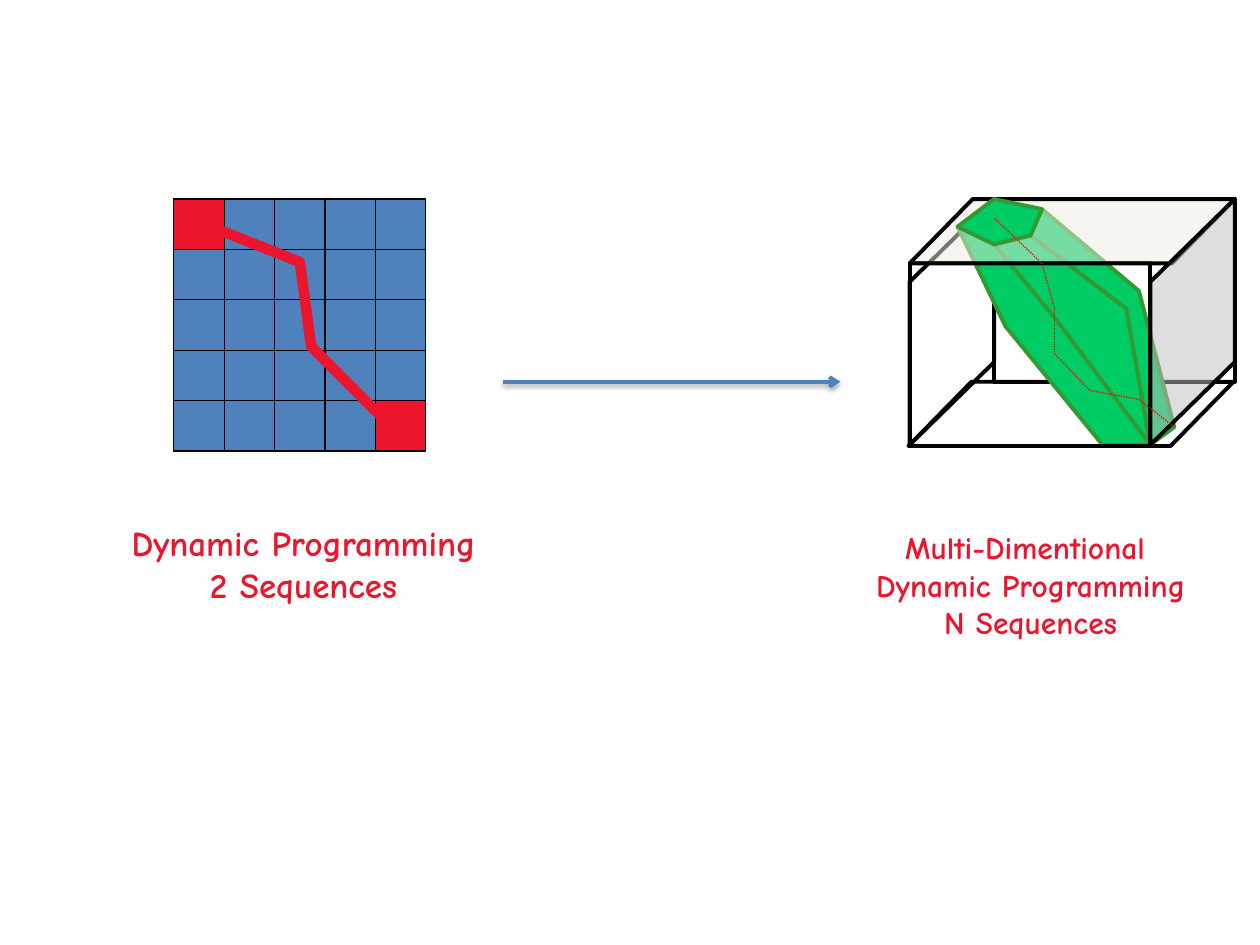
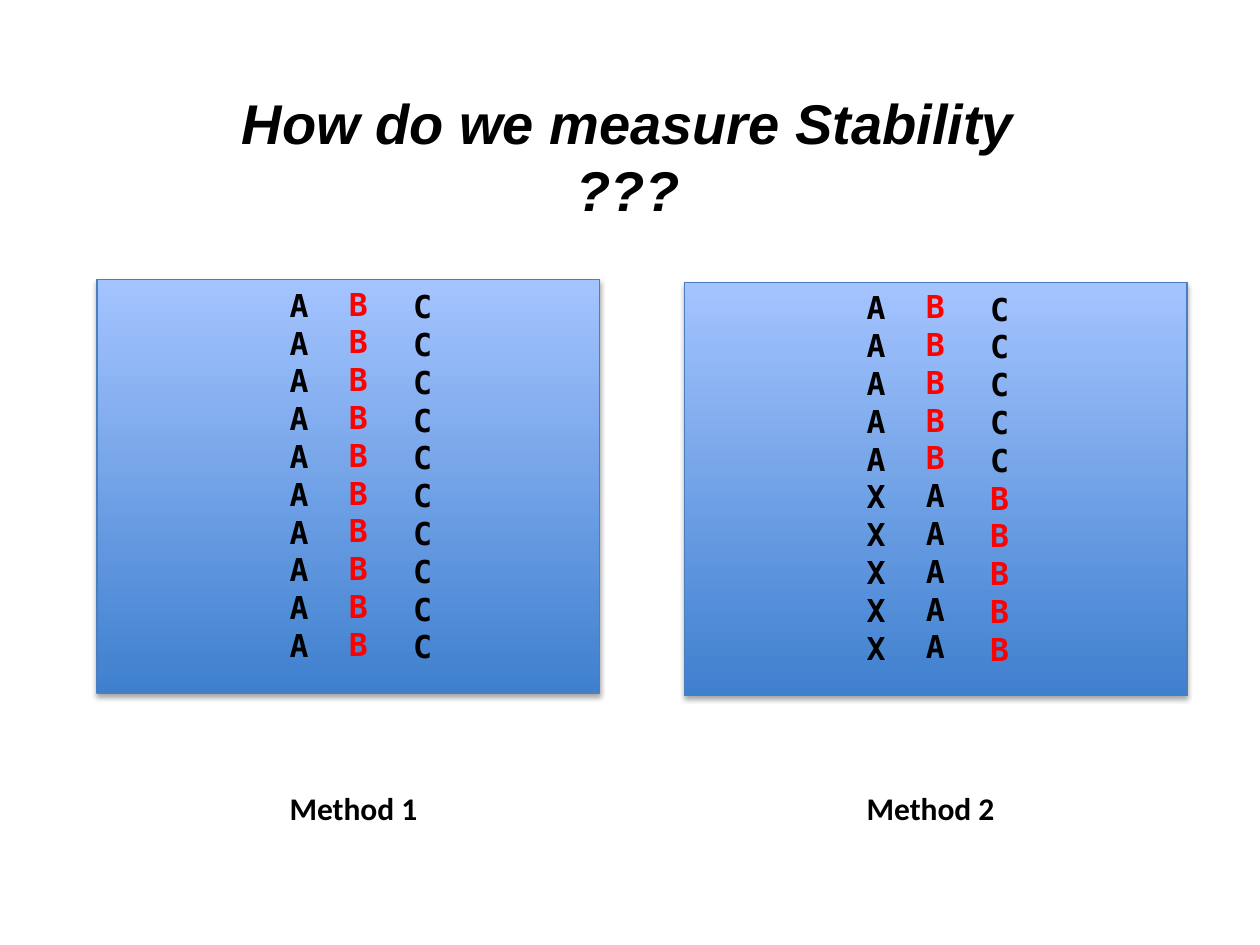
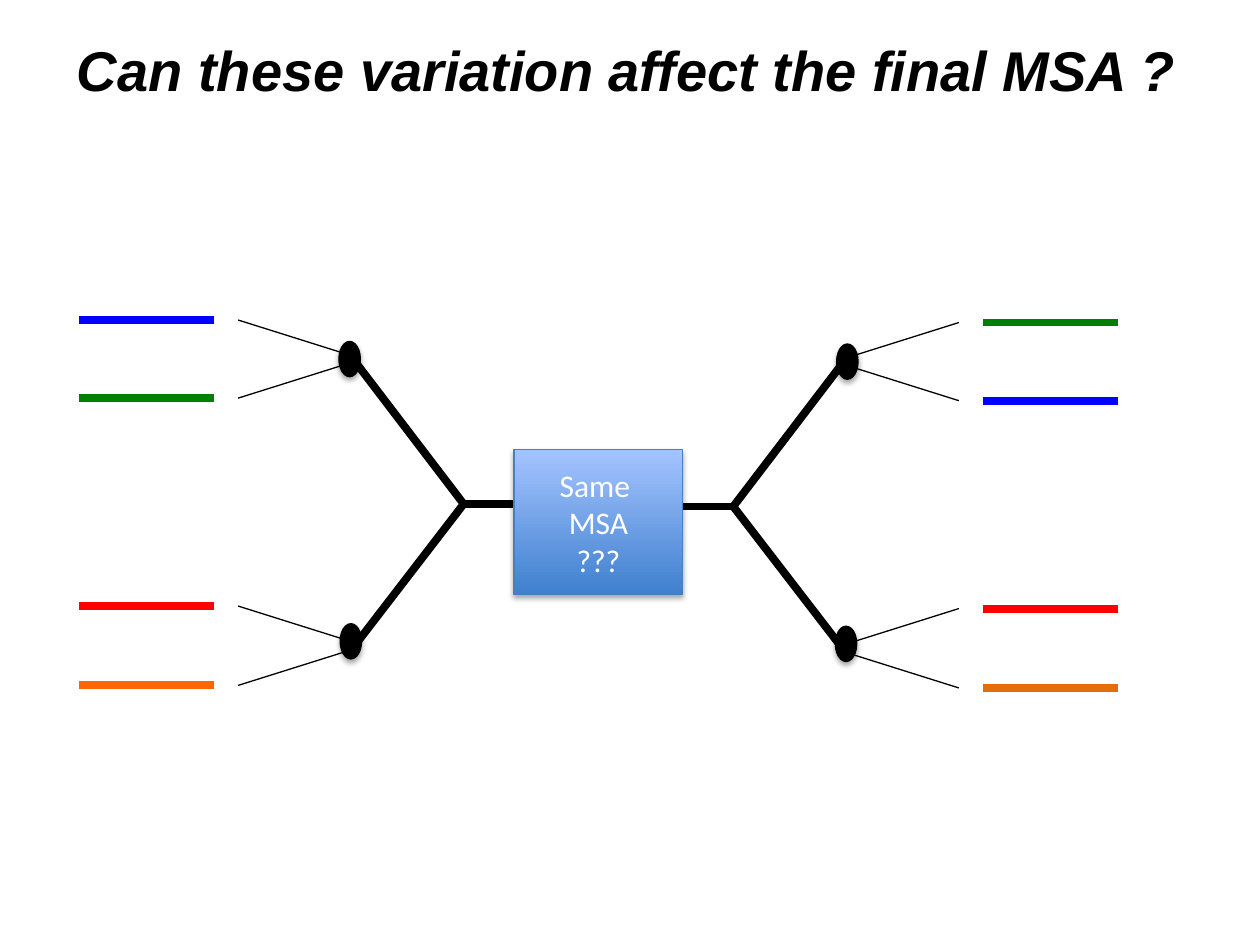
"""Build three slides on multiple sequence alignment and its stability."""
from lxml.etree import SubElement
from pptx import Presentation
from pptx.dml.color import RGBColor
from pptx.enum.dml import MSO_LINE
from pptx.enum.shapes import MSO_CONNECTOR, MSO_SHAPE
from pptx.enum.text import MSO_ANCHOR, MSO_AUTO_SIZE, PP_ALIGN
from pptx.oxml.ns import qn
from pptx.util import Pt

PX = 9144
COLORS = {
    "black": "000000", "white": "FFFFFF", "crimson": "EB152E", "red": "FF0000",
    "blue": "0000FF", "green": "008000", "orange": "FF6600", "rust": "E46C0A",
    "steel": "4F81BD", "edge": "4B7EBC", "deep": "3F80CE", "pale": "A4C4FF",
    "mint": "00CC66", "leaf": "339933", "cream": "EEECE1", "grey": "BFBFBF",
}
RGB = {name: RGBColor.from_string(value) for name, value in COLORS.items()}
SOFT = (35, 1.8)


def paint(s, line, width, fill=None, alpha=100, shadow=None):
    """Set line, fill and shadow of a shape or connector."""
    s.line.color.rgb = RGB[line]
    s.line.width = Pt(width)
    if fill == "gradient":
        s.fill.gradient()
        s.fill.gradient_angle = 90
        for stop, name in zip(s.fill.gradient_stops, ("deep", "pale")):
            stop.color.rgb = RGB[name]
    elif fill:
        s.fill.solid()
        s.fill.fore_color.rgb = RGB[fill]
        if alpha < 100:
            clr = s.element.spPr.find(qn("a:solidFill"))[0]
            SubElement(clr, qn("a:alpha"), val=str(alpha * 1000))
    elif hasattr(s, "fill"):
        s.fill.background()
    effects = SubElement(s.element.spPr, qn("a:effectLst"))
    if shadow:
        opacity, dist = shadow
        outer = SubElement(effects, qn("a:outerShdw"), blurRad=str(Pt(3.1)),
                           dist=str(Pt(dist)), dir="5400000", rotWithShape="0")
        clr = SubElement(outer, qn("a:srgbClr"), val=COLORS["black"])
        SubElement(clr, qn("a:alpha"), val=str(opacity * 1000))
    return s


def write(s, lines, font, size, color, align=PP_ALIGN.CENTER, bold=True, italic=False,
          wrap=True, anchor=MSO_ANCHOR.TOP, fit=MSO_AUTO_SIZE.SHAPE_TO_FIT_TEXT):
    """Write one paragraph per line."""
    tf = s.text_frame
    tf.word_wrap = wrap
    tf.auto_size = fit
    tf.vertical_anchor = anchor
    for i, text in enumerate(lines):
        p = tf.add_paragraph() if i else tf.paragraphs[0]
        p.alignment = align
        r = p.add_run()
        r.text = text
        r.font.name = font
        r.font.size = Pt(size)
        r.font.bold = bold
        r.font.italic = italic
        r.font.color.rgb = RGB[color]
    return tf


prs = Presentation()
prs.slide_width, prs.slide_height = 1000 * PX, 750 * PX
title_only, blank = prs.slide_layouts[5], prs.slide_layouts[6]

sp = prs.slides.add_slide(blank).shapes
for row in range(5):
    for col in range(5):
        s = sp.add_shape(MSO_SHAPE.RECTANGLE, (138 + 40 * col) * PX,
                         (158 + 40 * row) * PX, 40 * PX, 40 * PX)
        paint(s, "black", 0.75, "crimson" if row == col and row in (0, 4) else "steel")
grid_path = sp.build_freeform(155, 175, PX)
grid_path.add_line_segments([(238, 208), (247, 275), (322, 350)], close=False)
paint(grid_path.convert_to_shape(), "crimson", 6)

cube = [
    ("side", (658, 222, 195, 67), None, 100),
    ("wall", (789, 158, 191, 145), None, 100),
    ("level", (721, 303, 258, 51), None, 100),
    ("open", [(789, 194), (818, 187), (894, 245), (913, 353)], "mint", 100),
    ("closed", [(760, 180), (798, 259), (875, 353), (913, 353), (837, 252), (789, 194)], "mint", 100),
    ("closed", [(818, 187), (827, 166), (904, 231), (932, 339), (913, 353), (894, 245)], "mint", 100),
    ("wall", (722, 209, 191, 145), None, 100),
    ("level", (722, 158, 258, 51), "cream", 50),
    ("closed", [(760, 180), (789, 194), (818, 187), (827, 166), (789, 158)], "mint", 100),
    ("side", (849, 222, 195, 67), "grey", 50),
]
for kind, geometry, fill, alpha in cube:
    if kind in ("open", "closed"):
        outline = sp.build_freeform(*geometry[0], PX)
        outline.add_line_segments(geometry[1:], close=kind == "closed")
        paint(outline.convert_to_shape(), "leaf", 2.25, fill)
        continue
    preset = MSO_SHAPE.RECTANGLE if kind == "wall" else MSO_SHAPE.PARALLELOGRAM
    s = sp.add_shape(preset, *[v * PX for v in geometry])
    if kind != "wall":
        s.adjustments[0] = 0.98
    if kind == "side":
        s.rotation = 90
        s.element.spPr.find(qn("a:xfrm")).set("flipV", "1")
    paint(s, "black", 2.25, fill, alpha)

cube_path = sp.build_freeform(932, 339, PX)
cube_path.add_line_segments([(904, 317), (865, 310), (837, 281), (837, 245),
                             (827, 209), (789, 173)], close=False)
s = paint(cube_path.convert_to_shape(), "red", 0.75)
s.line.dash_style = MSO_LINE.ROUND_DOT

arrow = sp.add_connector(MSO_CONNECTOR.STRAIGHT, 399 * PX, 303 * PX, 667 * PX, 303 * PX)
paint(arrow, "steel", 2, shadow=(38, 1.6))
SubElement(arrow.element.spPr.find(qn("a:ln")), qn("a:tailEnd"), type="arrow")

for box, size, lines in (
    ((16, 409, 450, 77), 20, ["Dynamic Programming", "2 Sequences"]),
    ((568, 414, 500, 101), 18, ["Multi-Dimentional ", "Dynamic Programming", "N Sequences"]),
):
    write(sp.add_textbox(*[v * PX for v in box]), lines, "Comic Neue", size, "crimson")

titled = []
for box, lines in (
    ((20, 65, 957, 118), ["How do we measure Stability", "???"]),
    ((23, 23, 949, 64), ["Can these variation affect the final MSA ?"]),
):
    sp = prs.slides.add_slide(title_only).shapes
    s = sp.title
    s.left, s.top, s.width, s.height = [v * PX for v in box]
    write(s, lines, "Arial", 32, "black", italic=True, fit=MSO_AUTO_SIZE.NONE)
    titled.append(sp)
stability, trees = titled

methods = [
    ("Method 1", 77, 222, 220, ["A" * 10, "B" * 10, "C" * 10]),
    ("Method 2", 543, 224, 678, ["AAAAAXXXXX", "BBBBBAAAAA", "CCCCCBBBBB"]),
]
for label, left, top, text_left, columns in methods:
    panel = stability.add_shape(MSO_SHAPE.RECTANGLE, left * PX, top * PX, 399 * PX, 328 * PX)
    paint(panel, "edge", 0.75, "gradient", shadow=SOFT)
    for letters, (dx, dy) in zip(columns, ((0, 0), (47, -1), (98, 1))):
        s = stability.add_textbox((text_left + dx) * PX, (top + dy) * PX, 36 * PX, 343 * PX)
        tf = write(s, letters, "DejaVu Sans Mono", 18, "black", PP_ALIGN.LEFT, wrap=False)
        for p in tf.paragraphs:
            if p.text == "B":
                p.runs[0].font.color.rgb = RGB["red"]
    s = stability.add_textbox(text_left * PX, 621 * PX, 123 * PX, 40 * PX)
    write(s, [label], "Calibri", 18, "black", PP_ALIGN.LEFT, wrap=False)

leaf_ys = (254, 316, 481, 544)
fork_ys = (282, 288, 509, 516)
for mirrored, dy, leaf_colors in (
    (False, 0, ("blue", "green", "red", "orange")),
    (True, 2, ("green", "blue", "red", "rust")),
):
    lines = [(63, y, 170, y, c, 4.5) for y, c in zip(leaf_ys, leaf_colors)]
    lines += [(189, y, 278, fork, "black", 0.75) for y, fork in zip(leaf_ys, fork_ys)]
    lines += [(278, y, 368, 400, "black", 4.5) for y in (282, 517)]
    lines.append((368, 400, 408, 400, "black", 4.5))
    for x1, y1, x2, y2, color, width in lines:
        if mirrored:
            x1, x2 = 950 - x1, 950 - x2
        s = trees.add_connector(MSO_CONNECTOR.STRAIGHT, x1 * PX, (y1 + dy) * PX,
                                x2 * PX, (y2 + dy) * PX)
        paint(s, color, width)
    for x, y in ((269, 271), (270, 495)):
        left = 950 - x - 17 if mirrored else x
        s = trees.add_shape(MSO_SHAPE.OVAL, left * PX, (y + dy) * PX, 17 * PX, 28 * PX)
        paint(s, "black", 0.75, "black", shadow=SOFT)

s = trees.add_shape(MSO_SHAPE.RECTANGLE, 408 * PX, 357 * PX, 134 * PX, 115 * PX)
paint(s, "edge", 0.75, "gradient", shadow=SOFT)
write(s, ["Same ", "MSA", "???"], "Calibri", 18, "white", bold=False,
      anchor=MSO_ANCHOR.MIDDLE, fit=MSO_AUTO_SIZE.NONE)

prs.save("out.pptx")
